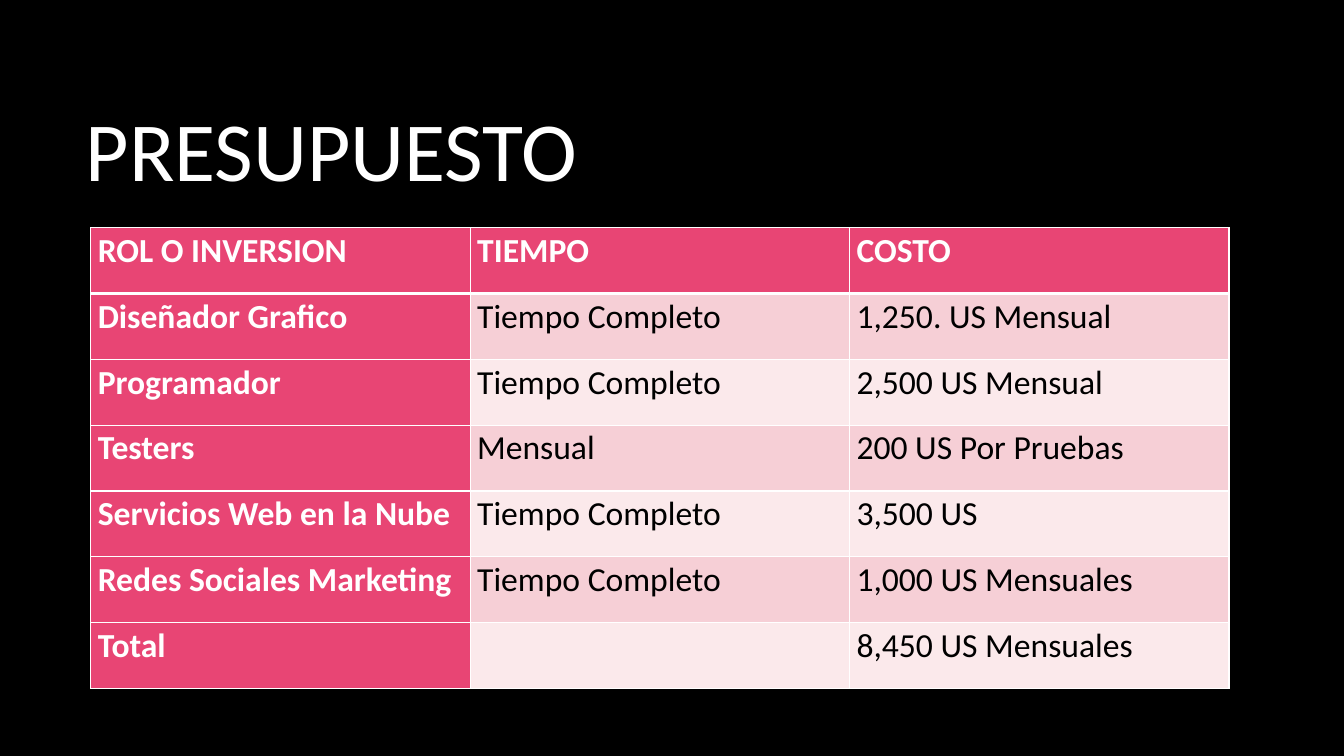
import pptx
import pptx.util
import pptx.dml.color
import pptx.enum.text
import pptx.oxml.ns
from lxml import etree

Inches = pptx.util.Inches
Pt = pptx.util.Pt

FONT = "Calibri"
COLORS = {
    "background": "000000",
    "light_text": "FFFFFF",
    "dark_text": "000000",
    "border": "FFFFFF",
    "accent": "E84574",
    "odd_band": "F6CFD6",
    "even_band": "FBE9EB",
}
BUDGET = [
    ("ROL O INVERSION", "TIEMPO", "COSTO"),
    ("Diseñador Grafico", "Tiempo Completo", "1,250. US Mensual"),
    ("Programador", "Tiempo Completo", "2,500 US Mensual"),
    ("Testers", "Mensual", "200 US Por Pruebas"),
    ("Servicios Web en la Nube", "Tiempo Completo", "3,500 US"),
    ("Redes Sociales Marketing", "Tiempo Completo", "1,000 US Mensuales"),
    ("Total", "", "8,450 US Mensuales"),
]


def rgb(name):
    return pptx.dml.color.RGBColor.from_string(COLORS[name])


def add_run(paragraph, text, size, color, bold=False):
    run = paragraph.add_run()
    run.text = text
    run.font.name = FONT
    run.font.size = Pt(size)
    run.font.bold = bold
    run.font.color.rgb = rgb(color)


def set_borders(cell, widths):
    """Put borders, given as {side: points}, ahead of the cell's fill."""
    qn = pptx.oxml.ns.qn
    properties = cell._tc.get_or_add_tcPr()
    for index, (side, points) in enumerate(widths.items()):
        line = etree.Element(qn(f"a:ln{side}"), w=str(Pt(points)))
        fill = etree.SubElement(line, qn("a:solidFill"))
        etree.SubElement(fill, qn("a:srgbClr"), val=COLORS["border"])
        properties.insert(index, line)


def add_title(slide, text, left, top, width, height):
    title = slide.shapes.title
    title.left, title.top = Inches(left), Inches(top)
    title.width, title.height = Inches(width), Inches(height)
    frame = title.text_frame
    frame.vertical_anchor = pptx.enum.text.MSO_ANCHOR.MIDDLE
    paragraph = frame.paragraphs[0]
    paragraph.alignment = pptx.enum.text.PP_ALIGN.LEFT
    add_run(paragraph, text, 60, "light_text")


def format_cell(cell, text, row, column):
    is_heading = row == 0 or column == 0
    band = "odd_band" if row % 2 else "even_band"
    cell.fill.solid()
    cell.fill.fore_color.rgb = rgb("accent" if is_heading else band)
    set_borders(cell, {"L": 1, "R": 1, "T": 3 if row == 1 else 1, "B": 3 if row == 0 else 1})
    cell.margin_left = cell.margin_right = Inches(0.07)
    cell.margin_top = cell.margin_bottom = 0
    if text:
        paragraph = cell.text_frame.paragraphs[0]
        paragraph.alignment = pptx.enum.text.PP_ALIGN.JUSTIFY
        paragraph.line_spacing = 1.07
        add_run(paragraph, text, 24, "light_text" if is_heading else "dark_text", is_heading)


def add_budget_table(slide, rows, left, top, width, height):
    frame = slide.shapes.add_table(
        len(rows), len(rows[0]), Inches(left), Inches(top), Inches(width), Inches(height)
    )
    table = frame.table
    table.first_col = True
    for row, texts in enumerate(rows):
        for column, text in enumerate(texts):
            format_cell(table.cell(row, column), text, row, column)


def main():
    presentation = pptx.Presentation()
    presentation.slide_width = Inches(13.33)
    presentation.slide_height = Inches(7.5)
    slide = presentation.slides.add_slide(presentation.slide_layouts[5])
    slide.background.fill.solid()
    slide.background.fill.fore_color.rgb = rgb("background")
    add_title(slide, "PRESUPUESTO", 0.75, 0.67, 11.08, 1.59)
    add_budget_table(slide, BUDGET, 0.9, 2.26, 11.29, 4.57)
    presentation.save("out.pptx")


if __name__ == "__main__":
    main()
